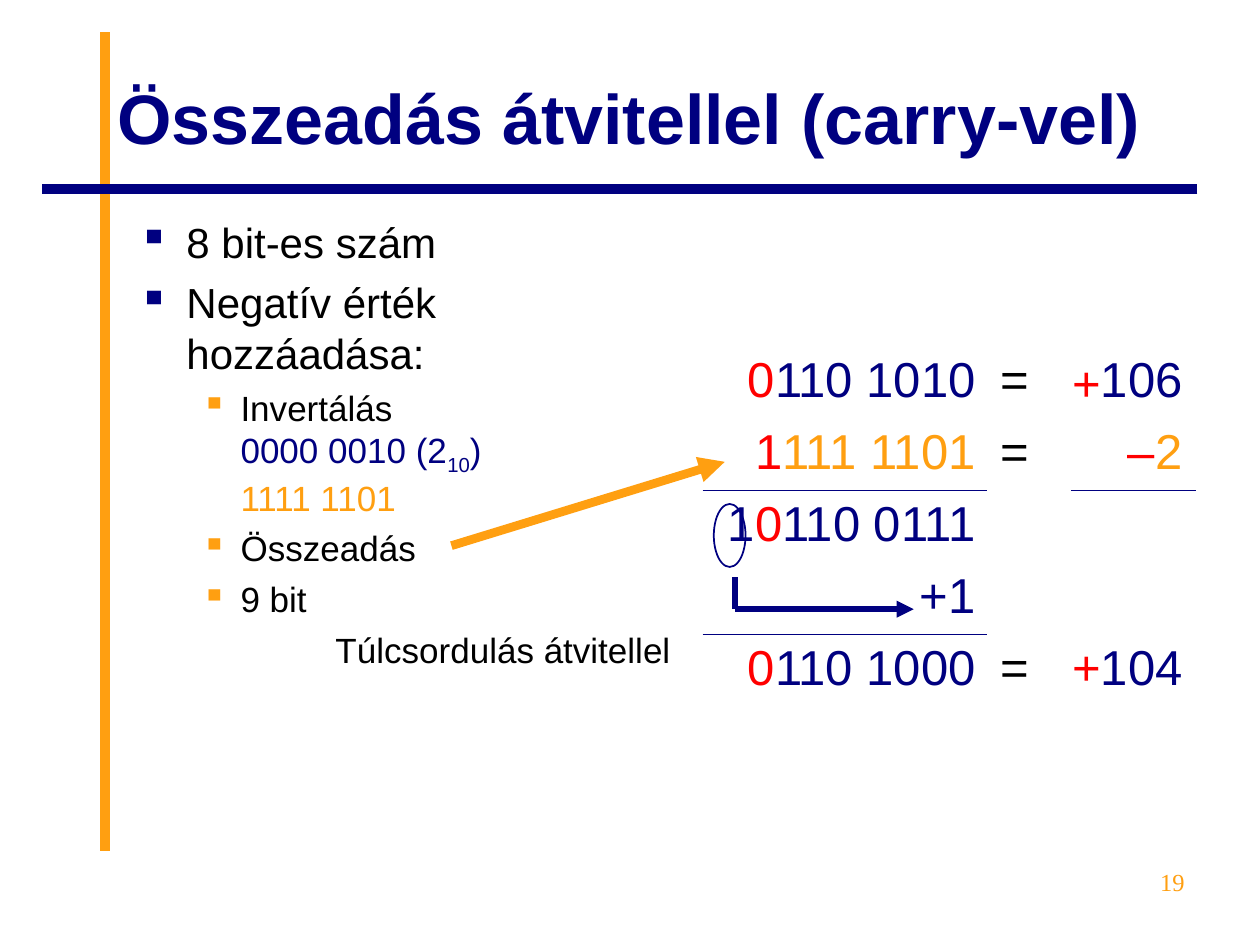
from lxml import etree
from pptx import Presentation
from pptx import util as u
from pptx.dml.color import RGBColor
from pptx.enum import shapes, text
from pptx.oxml.ns import qn

NAVY = RGBColor(0x00, 0x00, 0x80)
ORANGE = RGBColor(0xFF, 0x9F, 0x11)
RED = RGBColor(0xFF, 0x00, 0x00)
BLACK = RGBColor(0x00, 0x00, 0x00)
RIGHT = text.PP_ALIGN.RIGHT


def add_runs(p, runs, size, font="Arial", bold=False):
    """Fill a paragraph from (text, colour) pairs; None is a line break."""
    for item in runs:
        if item is None:
            p.add_line_break()
            continue
        r = p.add_run()
        r.text, r.font.color.rgb = item
        r.font.size, r.font.name, r.font.bold = u.Pt(size), font, bold


def add_text(s, x, y, w, h):
    tf = s.shapes.add_textbox(u.Cm(x), u.Cm(y), u.Cm(w), u.Cm(h)).text_frame
    tf.word_wrap = True
    return tf


def add_line(parent, x1, y1, x2, y2, color, width, arrow=False):
    c = parent.add_connector(shapes.MSO_CONNECTOR.STRAIGHT,
                             u.Cm(x1), u.Cm(y1), u.Cm(x2), u.Cm(y2))
    c.line.color.rgb, c.line.width = color, u.Pt(width)
    if arrow:
        etree.SubElement(c.line._get_or_add_ln(), qn("a:tailEnd"), type="triangle")
    etree.SubElement(c._element.spPr, qn("a:effectLst"))


def set_bullet(p, left, hanging, color=None):
    pPr = p._p.get_or_add_pPr()
    pPr.set("marL", str(u.Cm(left)))
    pPr.set("indent", str(-u.Cm(hanging)))
    if color is not None:
        clr = etree.SubElement(pPr, qn("a:buClr"))
        etree.SubElement(clr, qn("a:srgbClr"), val=str(color))
        etree.SubElement(pPr, qn("a:buChar"), char="▪")


def set_border(cell, side):
    ln = etree.Element(qn("a:" + side), w=str(u.Pt(0.75)))
    fill = etree.SubElement(ln, qn("a:solidFill"))
    etree.SubElement(fill, qn("a:srgbClr"), val=str(NAVY))
    cell._tc.get_or_add_tcPr().insert(0, ln)


def add_title(s, x, y, w, h):
    # Crossing rules behind the title
    add_line(s.shapes, x, y + 16.39, x, y - 0.12, ORANGE, 5.5)
    add_line(s.shapes, x + w, y + 3.05, x - 1.27, y + 3.05, NAVY, 5.5)
    tf = add_text(s, x, y, w, h)
    tf.vertical_anchor = text.MSO_ANCHOR.MIDDLE
    add_runs(tf.paragraphs[0], [("Összeadás átvitellel (carry-vel)", NAVY)], 40, bold=True)


def add_steps(s, x, y, w, h):
    tf = add_text(s, x, y, w, h)
    steps = [
        (0, [("8 bit-es szám", BLACK)]),
        (0, [("Negatív érték hozzáadása:", BLACK)]),
        (1, [("Invertálás", BLACK), None, ("0000 0010 (2", NAVY), ("10", NAVY),
             (")", NAVY), None, ("1111 1101", ORANGE)]),
        (1, [("Összeadás", BLACK)]),
        (1, [("9 bit", BLACK)]),
        (2, [("Túlcsordulás átvitellel", BLACK)]),
    ]
    # Kind of line: indent, hanging, bullet colour, text size, space before
    styles = [(0.97, 0.97, NAVY, 24, 6), (2.06, 0.79, ORANGE, 20, 5),
              (2.06, 0.79, None, 20, 5)]
    for i, (kind, runs) in enumerate(steps):
        left, hanging, color, size, before = styles[kind]
        p = tf.add_paragraph() if i else tf.paragraphs[0]
        if i:
            p.space_before = u.Pt(before)
        set_bullet(p, left, hanging, color)
        p.level = min(kind, 1)
        add_runs(p, runs, size)
    tf.paragraphs[-1].alignment = RIGHT
    # Number base as a subscript
    tf.paragraphs[2].runs[2].font._element.set("baseline", "-25000")


def add_sum(s, x, y):
    widths, row_h = (5.74, 1.68, 2.49), 1.45
    equals = [("=", BLACK)]
    rows = [
        ([("0", RED), ("110 1010", NAVY)], equals, [("106", NAVY)]),
        ([("1", RED), ("111 1101", ORANGE)], equals, [("–", RED), ("2", ORANGE)]),
        ([("1", NAVY), ("0", RED), ("110 0111", NAVY)], [], []),
        ([("+1", NAVY)], [], []),
        ([("0", RED), ("110 1000", NAVY)], equals, [("104", NAVY)]),
    ]
    tbl = s.shapes.add_table(len(rows), len(widths), u.Cm(x), u.Cm(y),
                             u.Cm(sum(widths)), u.Cm(row_h * len(rows))).table
    tbl.first_row = tbl.horz_banding = False
    for col, width in zip(tbl.columns, widths):
        col.width = u.Cm(width)
    for i, row in enumerate(rows):
        tbl.rows[i].height = u.Cm(row_h)
        for j, runs in enumerate(row):
            cell = tbl.cell(i, j)
            cell.fill.background()
            p = cell.text_frame.paragraphs[0]
            if j != 1:
                p.alignment = RIGHT
            add_runs(p, runs, 28)
    # Sum lines
    for i, j in ((1, 0), (1, 2), (3, 0)):
        set_border(tbl.cell(i, j), "lnB")
        set_border(tbl.cell(i + 1, j), "lnT")


def add_signs(s, x, y):
    for dy in (0, 5.71):
        tf = add_text(s, x, y + dy, 1.06, 1.45)
        add_runs(tf.paragraphs[0], [("+", RED)], 28)


def add_carry(s, x, y):
    # Circled carry bit and its path to the last place
    parts = s.shapes.add_group_shape().shapes
    sp = parts.add_shape(shapes.MSO_SHAPE.OVAL, u.Cm(x), u.Cm(y), u.Cm(0.64), u.Cm(1.27))
    sp.shadow.inherit = False
    sp.fill.background()
    sp.line.color.rgb, sp.line.width = NAVY, u.Pt(1)
    add_line(parts, x + 0.43, y + 1.48, x + 0.43, y + 2.12, NAVY, 3.25)
    add_line(parts, x + 0.43, y + 2.12, x + 4.03, y + 2.12, NAVY, 3.25, arrow=True)


def add_page_number(s, x, y, w, h):
    p = add_text(s, x, y, w, h).paragraphs[0]
    p.alignment = RIGHT
    add_runs(p, [("19", ORANGE)], 14, font="Times New Roman")


def main():
    prs = Presentation()
    prs.slide_width, prs.slide_height = u.Cm(25.4), u.Cm(19.05)
    s = prs.slides.add_slide(prs.slide_layouts[6])
    add_title(s, 2.12, 0.76, 22.02, 3.18)
    add_steps(s, 2.54, 4.23, 11.23, 12.57)
    add_sum(s, 14.18, 6.99)
    # Arrow from the addition step to the inverted number
    add_line(s.shapes, 9.1, 11, 14.61, 9.31, ORANGE, 5, arrow=True)
    add_carry(s, 14.39, 10.16)
    add_line(s.shapes, 8.89, 10.8, 8.89, 10.8, BLACK, 0.75, arrow=True)
    add_signs(s, 21.38, 6.99)
    add_page_number(s, 18.21, 17.35, 5.92, 1.32)
    prs.save("out.pptx")


if __name__ == "__main__":
    main()
